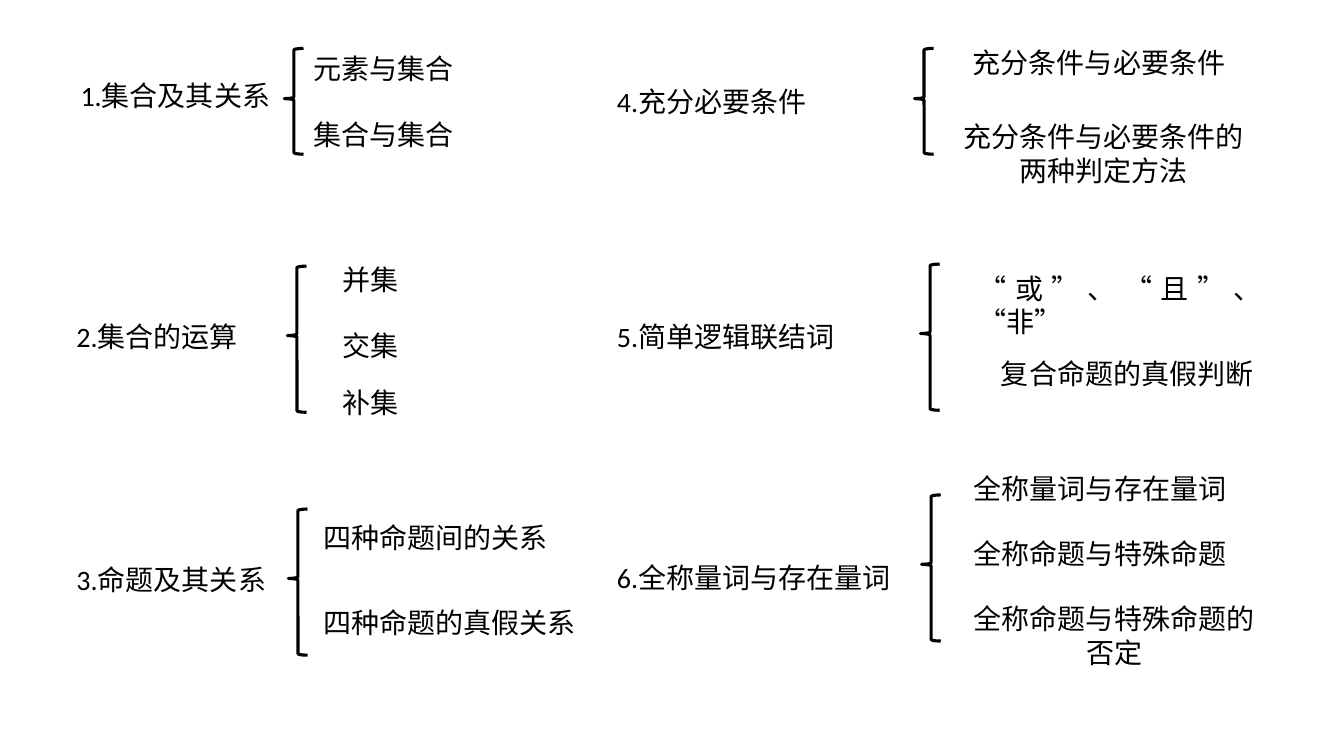
"""Build a slide of six knowledge outlines, each a heading, a brace and its topics."""
import pptx
import pptx.util
import pptx.dml.color
import pptx.enum.lang
import pptx.enum.shapes
import pptx.enum.text

COLORS = {"ink": "000000", "paper": "FFFFFF"}
ALIGN = pptx.enum.text.PP_ALIGN
JUSTIFY, CENTER, LEFT = ALIGN.JUSTIFY, ALIGN.CENTER, ALIGN.LEFT
ROW = 4.4
TWO_ROWS = 7.7

OUTLINES = [
    (("1.集合及其关系", 7, 7.3, 21.2), (28.2, 4.8, 10.5), [
        ("元素与集合", 30.1, 4.6, 19.2),
        ("集合与集合", 30.1, 11.2, 16.5)]),
    (("2.集合的运算", 6.6, 31.2, 18.7), (28.5, 26.4, 14.5), [
        ("并集", 33, 25.6, 14.8),
        ("交集", 33, 32.1, 14.8),
        ("补集", 33, 37.8, 14.8)]),
    (("3.命题及其关系", 6.6, 55.3, 21.2), (28.6, 50.5, 14.5), [
        ("四种命题间的关系", 31.1, 51.1, 26),
        ("四种命题的真假关系", 31.1, 59.6, 28)]),
    (("4.充分必要条件", 60.2, 7.9, 22.8), (90.7, 4.8, 10.5), [
        ("充分条件与必要条件", 95.5, 4, 29.5),
        ("充分条件与必要条件的两种判定方法", 94.4, 11.4, 30.1, TWO_ROWS, CENTER)]),
    (("5.简单逻辑联结词", 60.2, 31.2, 25.2), (91.3, 26.2, 14.5), [
        ("“或”、“且”、“非”", 96.1, 26.4, 30),
        ("复合命题的真假判断", 98.3, 34.9, 30)]),
    (("6.全称量词与存在量词", 60.2, 55.1, 30, ROW, LEFT), (91.4, 49.1, 14.5), [
        ("全称量词与存在量词", 95.6, 46.3, 30),
        ("全称命题与特殊命题", 95.6, 52.7, 30),
        ("全称命题与特殊命题的否定", 95.5, 59.2, 30, TWO_ROWS, CENTER)]),
]


def rgb(name):
    """Return the named colour."""
    return pptx.dml.color.RGBColor.from_string(COLORS[name])


def write(tf, text, font="Calibri", size=20, color="ink", align=JUSTIFY):
    """Write one formatted paragraph into a text frame."""
    p = tf.paragraphs[0]
    p.alignment = align
    r = p.add_run()
    r.text = text
    r.font.name = font
    r.font.size = pptx.util.Pt(size)
    r.font.color.rgb = rgb(color)
    r.font.language_id = pptx.enum.lang.MSO_LANGUAGE_ID.SIMPLIFIED_CHINESE


class Board:
    """Hold the style and current slide on a grid of tenth-inch cells."""

    cell = 0.1
    brace_width = 1.9
    brace_line = 2.25

    def __init__(self, prs):
        """Add a blank slide with a plain background."""
        self.s = prs.slides.add_slide(prs.slide_layouts[6])
        fill = self.s.background.fill
        fill.solid()
        fill.fore_color.rgb = rgb("paper")

    def box(self, *cells):
        """Turn grid cells into lengths."""
        return [pptx.util.Inches(n * self.cell) for n in cells]

    def label(self, text, col, row, cols, rows=ROW, align=JUSTIFY):
        """Place a wrapped text box."""
        tf = self.s.shapes.add_textbox(*self.box(col, row, cols, rows)).text_frame
        tf.word_wrap = True
        tf.auto_size = pptx.enum.text.MSO_AUTO_SIZE.SHAPE_TO_FIT_TEXT
        write(tf, text, align=align)

    def brace(self, col, row, rows):
        """Place a left brace."""
        sp = self.s.shapes.add_shape(pptx.enum.shapes.MSO_SHAPE.LEFT_BRACE,
                                     *self.box(col, row, self.brace_width, rows))
        sp.adjustments[0] = 0.08
        sp.adjustments[1] = 0.475
        sp.shadow.inherit = False
        sp.fill.background()
        sp.line.color.rgb = rgb("ink")
        sp.line.width = pptx.util.Pt(self.brace_line)


def main():
    """Build and save the slide."""
    prs = pptx.Presentation()
    prs.slide_width = pptx.util.Inches(13.33)
    prs.slide_height = pptx.util.Inches(7.5)
    board = Board(prs)
    for heading, brace, topics in OUTLINES:
        for label in [heading, *topics]:
            board.label(*label)
        board.brace(*brace)
    prs.save("out.pptx")


if __name__ == "__main__":
    main()
